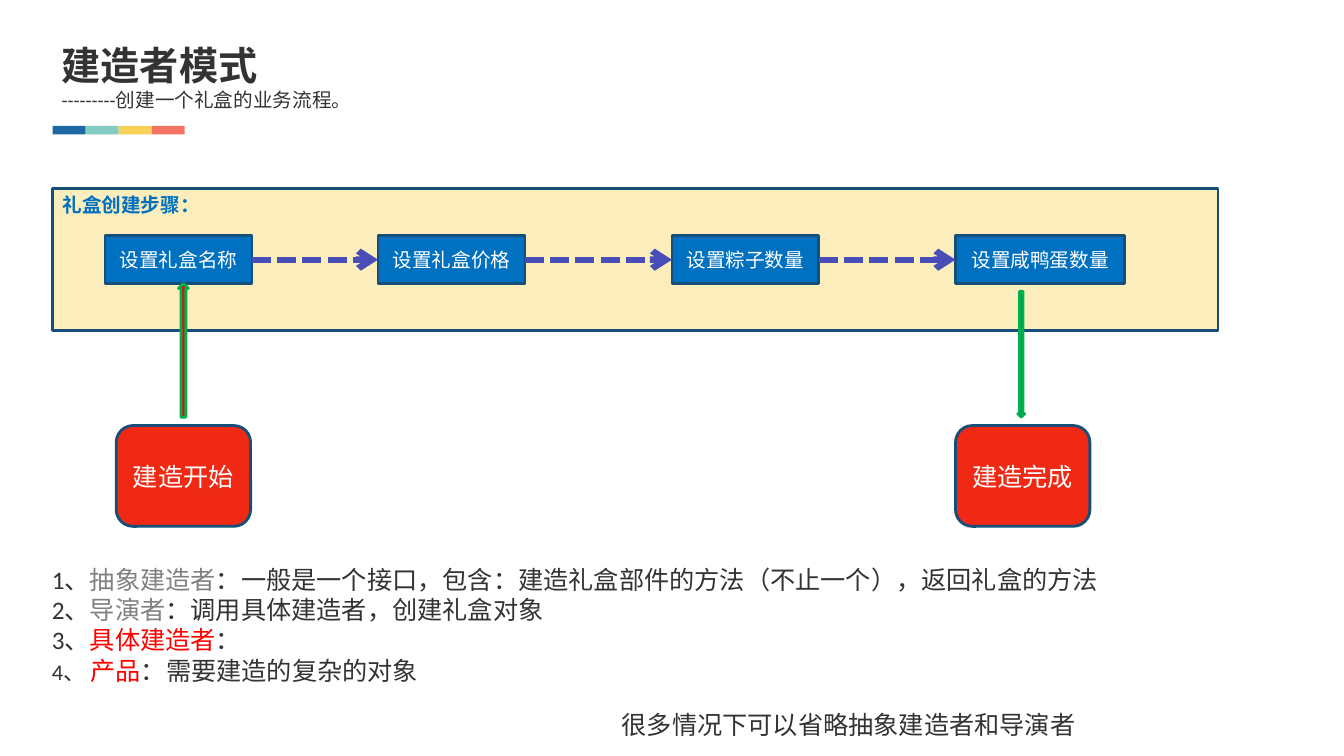
from dataclasses import dataclass

from lxml import etree
from pptx import Presentation
from pptx.dml.color import RGBColor
from pptx.enum.dml import MSO_LINE
from pptx.enum.shapes import MSO_CONNECTOR, MSO_SHAPE
from pptx.enum.text import MSO_ANCHOR, MSO_AUTO_SIZE, PP_ALIGN
from pptx.oxml.ns import qn
from pptx.util import Pt

RECT, ROUND = MSO_SHAPE.RECTANGLE, MSO_SHAPE.ROUNDED_RECTANGLE
UP, DOWN = MSO_SHAPE.UP_ARROW, MSO_SHAPE.DOWN_ARROW
STRAIGHT, DASH = MSO_CONNECTOR.STRAIGHT, MSO_LINE.SQUARE_DOT
TOP, MIDDLE = MSO_ANCHOR.TOP, MSO_ANCHOR.MIDDLE
LEFT, CENTER = PP_ALIGN.LEFT, PP_ALIGN.CENTER
GROW = MSO_AUTO_SIZE.SHAPE_TO_FIT_TEXT


@dataclass(frozen=True)
class Theme:
    """Colours, font and type sizes of the slide."""
    font: str = "Calibri"
    title: int = 28
    body: int = 18
    number: int = 16
    small: int = 14
    ink: str = "333333"
    grey: str = "808080"
    red: str = "FF0000"
    white: str = "FFFFFF"
    blue: str = "0070C0"
    outline: str = "154E79"
    panel: str = "FCEDBC"
    terminal: str = "F02914"
    link: str = "484DB8"
    green: str = "00B050"
    stripes: tuple = ("1D69A3", "84CBC3", "F8D158", "F57365")


T = Theme()


def rgb(code):
    """Turn a hex code into a colour."""
    return RGBColor.from_string(code)


def write(tf, text, size=T.body, color=T.ink, bold=False, align=LEFT, first=False):
    """Add a paragraph; text is a string or a list of (text, overrides) runs."""
    p = tf.paragraphs[0] if first else tf.add_paragraph()
    p.alignment = align
    for words, own in [(text, {})] if isinstance(text, str) else text:
        r = p.add_run()
        r.text = words
        r.font.name = T.font
        r.font.size = Pt(own.get("size", size))
        r.font.bold = bold
        r.font.color.rgb = rgb(own.get("color", color))


def add_box(s, kind, x, y, w, h, fill, line=None):
    """Add a flat preset shape and return it."""
    sp = s.shapes.add_shape(kind, Pt(x), Pt(y), Pt(w), Pt(h))
    sp.shadow.inherit = False
    sp.fill.solid()
    sp.fill.fore_color.rgb = rgb(fill)
    if line:
        sp.line.color.rgb = rgb(line)
        sp.line.width = Pt(2)
    else:
        sp.line.fill.background()
    return sp


def add_label(s, kind, x, y, w, h, text, fill, **fmt):
    """Add an outlined shape with centred white text."""
    tf = add_box(s, kind, x, y, w, h, fill, T.outline).text_frame
    tf.word_wrap = True
    tf.vertical_anchor = MIDDLE
    write(tf, text, color=T.white, align=CENTER, first=True, **fmt)


def add_text_frame(s, x, y, w, h):
    """Add a wrapping text box and return its text frame."""
    tf = s.shapes.add_textbox(Pt(x), Pt(y), Pt(w), Pt(h)).text_frame
    tf.word_wrap = True
    tf.auto_size = GROW
    return tf


def add_link(s, x1, x2, y):
    """Add a dashed horizontal arrow."""
    c = s.shapes.add_connector(STRAIGHT, Pt(x1), Pt(y), Pt(x2), Pt(y))
    c.line.color.rgb = rgb(T.link)
    c.line.width = Pt(4.5)
    c.line.dash_style = DASH
    etree.SubElement(c.line._get_or_add_ln(), qn("a:tailEnd"), type="arrow")
    etree.SubElement(c._element.spPr, qn("a:effectLst"))


def header(s, x, y, w, h):
    """Place title, subtitle and the four-colour stripe."""
    tf = add_text_frame(s, x + 6.5, y, w, h)
    tf.margin_left = tf.margin_right = tf.margin_top = tf.margin_bottom = 0
    write(tf, "建造者模式", size=T.title, bold=True, first=True)
    write(tf, "---------创建一个礼盒的业务流程。", size=T.small)
    step = 23.6
    for i, color in enumerate(T.stripes):
        add_box(s, RECT, x + i * step, y + 60.5, step, 6, color)


def steps_panel(s, x, y, w, h):
    """Place the panel of creation steps joined by dashed arrows."""
    tf = add_box(s, RECT, x, y, w, h, T.panel, T.outline).text_frame
    tf.word_wrap = True
    tf.vertical_anchor = TOP
    write(tf, "礼盒创建步骤：", size=T.small, color=T.blue, bold=True, first=True)
    steps = [("设置礼盒名称", 37.5, 105), ("设置礼盒价格", 232.5, 105),
             ("设置粽子数量", 442.5, 105), ("设置咸鸭蛋数量", 645, 121)]
    top, height = y + 34, 34
    for text, dx, width in steps:
        add_label(s, RECT, x + dx, top, width, height, text, T.blue, size=T.small)
    for (_, dx, width), (_, after, _) in zip(steps, steps[1:]):
        add_link(s, x + dx + width, x + after, top + height / 2)


def terminals(s, x, y, w, h):
    """Place the start and end boxes with their arrows, arrows above boxes."""
    width, height = 96, 72
    box_top, arrow_end = y + h - height, y + h - height - 6
    for text, left, kind, ax, ay, aw, fill in (
            ("建造开始", x, UP, x + 44.5, y, 7, T.red),
            ("建造完成", x + w - width, DOWN, x + w - 51.5, y + 5.5, 5, T.stripes[0])):
        add_label(s, ROUND, left, box_top, width, height, text, T.terminal)
        add_box(s, kind, ax, ay, aw, arrow_end - ay, fill, T.green)


def roles(s, x, y, w, h):
    """Place the numbered roles and the closing remark below them."""
    tf = add_text_frame(s, x, y, w, h)
    items = [("抽象建造者", T.grey, "：一般是一个接口，包含：建造礼盒部件的方法"
              "（不止一个），返回礼盒的方法"),
             ("导演者", T.grey, "：调用具体建造者，创建礼盒对象"),
             ("具体建造者", T.red, "："),
             ("产品", T.red, "：需要建造的复杂的对象")]
    for i, (role, color, rest) in enumerate(items, 1):
        last = i == len(items)
        number = (f"{i}、 ", {"size": T.number}) if last else (f"{i}、", {})
        write(tf, [number, (role, {"color": color}), (rest, {})], first=i == 1)
    remark = add_text_frame(s, x + 407, y + 103.5, 354, 29)
    write(remark, "很多情况下可以省略抽象建造者和导演者", first=True)


prs = Presentation()
prs.slide_width, prs.slide_height = Pt(960), Pt(540)
s = prs.slides.add_slide(prs.slide_layouts[6])
header(s, 37.5, 29.5, 774, 51)
steps_panel(s, 37.5, 134.5, 832.5, 101.5)
terminals(s, 83, 202.5, 695.5, 173.5)
roles(s, 30, 399.5, 765.5, 94.5)
prs.save("out.pptx")
